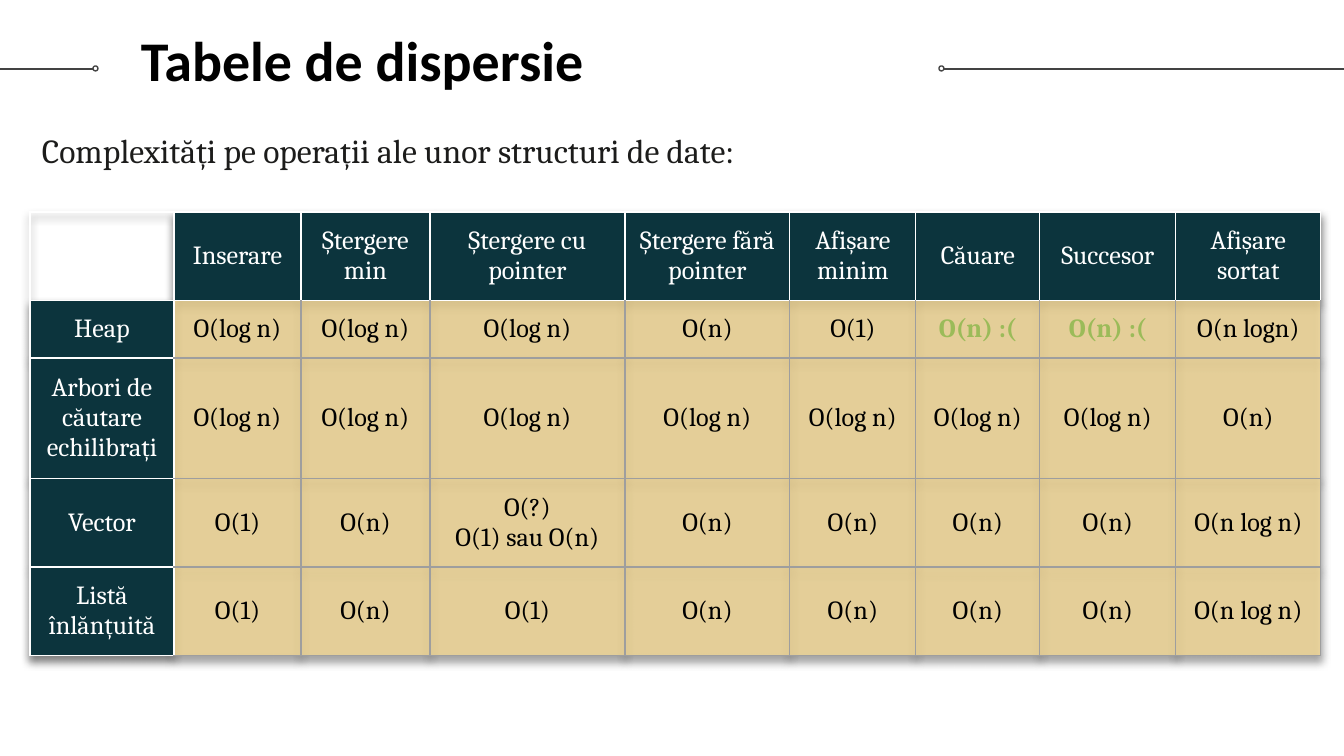
from pptx import Presentation
from pptx.dml.color import RGBColor
from pptx.enum.shapes import MSO_CONNECTOR, MSO_SHAPE
from pptx.enum.text import MSO_ANCHOR, PP_ALIGN
from pptx.oxml import parse_xml
from pptx.oxml.ns import nsdecls
from pptx.util import Pt
from lxml.etree import SubElement

SCALE = 914400 / 134.4
HUES = {"ink": "000000", "body": "1C1C1B", "rule": "434343", "white": "FFFFFF",
        "head": "0C343D", "sand": "FFE093", "grid": "9E9E9E", "sad": "9BBB59"}


def px(n):
    return round(n * SCALE)


def write(frame, text, font="Cambria", size=14, hue="ink", bold=False,
          align=PP_ALIGN.LEFT):
    frame.word_wrap = True
    frame.text = text
    for para in frame.paragraphs:
        para.alignment = align
        face = para.font
        face.name, face.size, face.bold = font, Pt(size), bold
        face.color.rgb = RGBColor.from_string(HUES[hue])


deck = Presentation()
deck.slide_width, deck.slide_height = px(1344), px(756)
slide = deck.slides.add_slide(deck.slide_layouts[6])
shapes = slide.shapes
rule = RGBColor.from_string(HUES["rule"])

for start, end, dot in [(0, 93, 93), (944, 1344, 939)]:
    line = shapes.add_connector(MSO_CONNECTOR.STRAIGHT, px(start), px(69), px(end), px(69))
    SubElement(line._element.spPr, "{http://schemas.openxmlformats.org/drawingml/2006/main}effectLst")
    ring = shapes.add_shape(MSO_SHAPE.OVAL, px(dot), px(66), px(5), px(5))
    ring.shadow.inherit = False
    ring.fill.background()
    for item in (line, ring):
        item.line.color.rgb = rule
        item.line.width = Pt(0.75)

texts = [
    ((128, 13, 766, 85), "Tabele de dispersie",
     dict(font="Calibri", size=30, bold=True)),
    ((29, 117, 1284, 597), "Complexități pe operații ale unor structuri de date:",
     dict(size=18, hue="body")),
]
for area, text, style in texts:
    frame = shapes.add_textbox(*map(px, area)).text_frame
    frame.margin_left = frame.margin_right = px(13)
    frame.margin_top = frame.margin_bottom = px(13)
    write(frame, text, **style)

rows = [
    ["", "Inserare", "Ștergere min", "Ștergere cu pointer", "Ștergere fără pointer",
     "Afișare minim", "Căuare", "Succesor", "Afișare sortat"],
    ["Heap"] + ["O(log n)"] * 3 + ["O(n)", "O(1)", "O(n) :(", "O(n) :(", "O(n logn)"],
    ["Arbori de căutare echilibrați"] + ["O(log n)"] * 7 + ["O(n)"],
    ["Vector", "O(1)", "O(n)", "O(?)\nO(1) sau O(n)"] + ["O(n)"] * 4 + ["O(n log n)"],
    ["Listă înlănțuită", "O(1)", "O(n)", "O(1)"] + ["O(n)"] * 4 + ["O(n log n)"],
]
wide = [144, 127, 129, 195, 165, 126, 124, 136, 145]
tall = [87, 56, 117, 87, 87]
grid = shapes.add_table(len(rows), len(wide), px(30), px(212), px(sum(wide)), px(sum(tall)))
table = grid.table
table.horz_banding = False
table._tbl.tblPr.insert(0, parse_xml(
    f'<a:effectLst {nsdecls("a")}><a:outerShdw blurRad="57150" dist="38100" dir="5400000">'
    '<a:srgbClr val="000000"><a:alpha val="50000"/></a:srgbClr></a:outerShdw></a:effectLst>'))
for col, size in zip(table.columns, wide):
    col.width = px(size)
for row, size in zip(table.rows, tall):
    row.height = px(size)

for r, row in enumerate(rows):
    for c, text in enumerate(row):
        cell = table.cell(r, c)
        head = r == 0 or c == 0
        sad = text.endswith(":(")
        cell.vertical_anchor = MSO_ANCHOR.MIDDLE
        cell.margin_left = cell.margin_right = px(13)
        cell.margin_top = cell.margin_bottom = px(13)
        if text:
            write(cell.text_frame, text, align=PP_ALIGN.CENTER, bold=sad,
                  hue="white" if head else "sad" if sad else "ink")
            cell.fill.solid()
            cell.fill.fore_color.rgb = RGBColor.from_string(HUES["head" if head else "sand"])
        else:
            cell.fill.background()
        prop = cell._tc.get_or_add_tcPr()
        if not head:
            tint = prop.find(".//" + "{*}srgbClr")
            tint.append(parse_xml(f'<a:alpha {nsdecls("a")} val="70000"/>'))
        pale = {"L": head or c == 1, "R": head, "T": head or r == 1, "B": head}
        for spot, side in enumerate("LRTB"):
            hue = HUES["white" if pale[side] else "grid"]
            prop.insert(spot, parse_xml(
                f'<a:ln{side} {nsdecls("a")} w="9525"><a:solidFill>'
                f'<a:srgbClr val="{hue}"/></a:solidFill></a:ln{side}>'))

deck.save("out.pptx")
